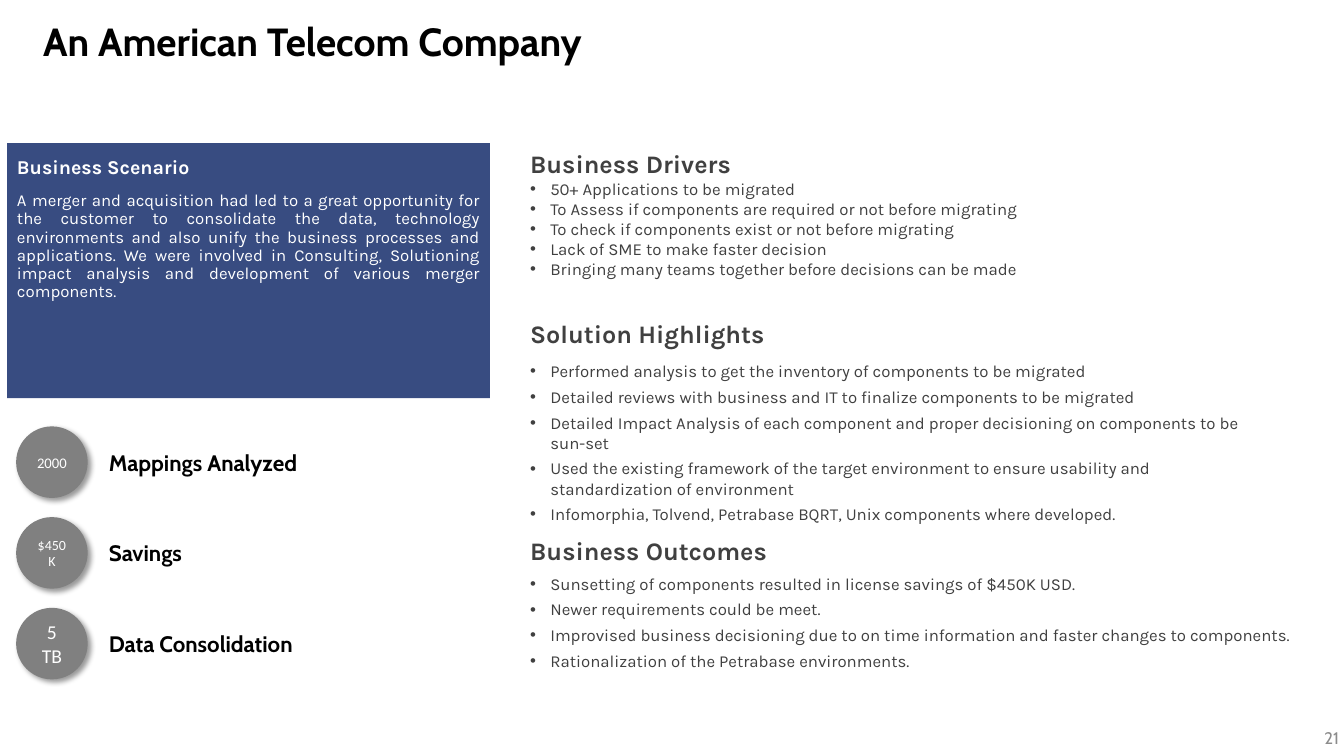
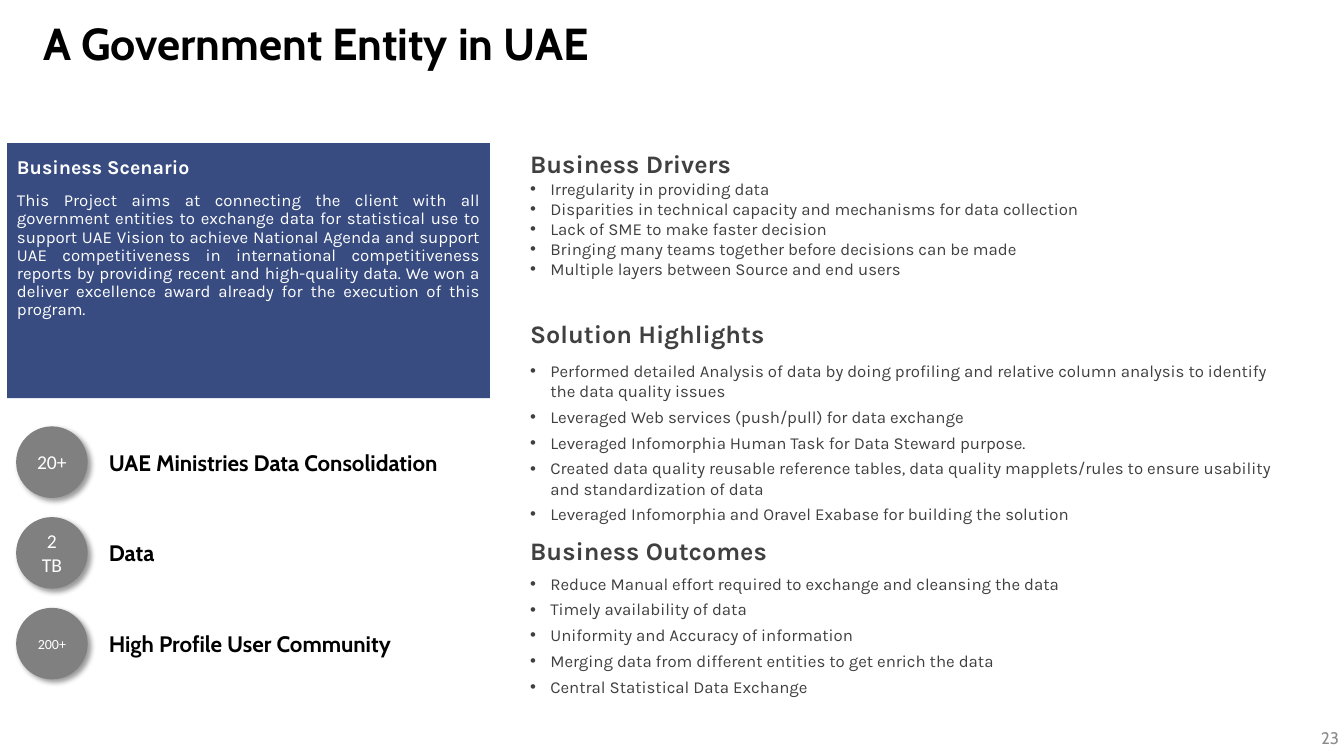
"""Builds two client case-study slides that share one layout."""
from dataclasses import dataclass

from lxml import etree
from pptx import Presentation
from pptx import util as u
from pptx.dml.color import RGBColor
from pptx.enum import shapes, text
from pptx.oxml import ns

EMU_PER_PX = 9144

COLORS = {
    "black": "000000",
    "white": "FFFFFF",
    "navy": "384C81",
    "badge": "808080",
    "body": "404040",
    "number": "8C8C8C",
}


@dataclass(frozen=True)
class Frame:
    left: int
    top: int
    width: int
    height: int


@dataclass(frozen=True)
class Style:
    font: str
    size: float
    color: str
    bold: bool = False
    align: text.PP_ALIGN = text.PP_ALIGN.LEFT
    line_spacing: float = 1.0
    before: int = 0
    after: int = 0
    bullet: bool = False


@dataclass(frozen=True)
class Line:
    words: str
    style: Style


@dataclass(frozen=True)
class Metric:
    value: str
    size: float
    label: str


@dataclass(frozen=True)
class Case:
    title: str
    title_size: int
    title_frame: Frame
    number: str
    scenario: str
    metrics: list[Metric]
    drivers: list[str]
    highlights: list[str]
    outcomes: list[str]


JUSTIFY = text.PP_ALIGN.JUSTIFY
MIDDLE = text.MSO_ANCHOR.MIDDLE
TOP = text.MSO_ANCHOR.TOP

NUMBER = Style("Cabin", 12, "number", align=text.PP_ALIGN.RIGHT)
SCENARIO_HEADING = Style("Karla", 14, "white", True, JUSTIFY, 0.9)
SCENARIO_BODY = Style("Karla", 12, "white", False, JUSTIFY, 0.9, before=10)
HEADING = Style("Karla", 18, "body", True)
TIGHT_BULLET = Style("Karla", 12, "body", bullet=True)
LOOSE_BULLET = Style("Karla", 12, "body", after=4, bullet=True)
METRIC_LABEL = Style("Cabin", 16, "black", True)

PANEL = Frame(7, 142, 479, 253)
SCENARIO = Frame(7, 151, 479, 224)
DRIVERS = Frame(516, 142, 746, 164)
HIGHLIGHTS_HEADING = Frame(516, 311, 668, 40)
HIGHLIGHTS = Frame(516, 353, 759, 174)
OUTCOMES_HEADING = Frame(516, 526, 668, 40)
OUTCOMES = Frame(516, 564, 802, 134)
PAGE_NUMBER = Frame(1283, 718, 55, 28)
BADGE_LEFT, BADGE_TOP, BADGE_SIZE, BADGE_STEP = 16, 423, 71, 90
LABEL_LEFT, LABEL_WIDTH, LABEL_HEIGHT = 108, 404, 37
BULLET_INDENT = 20

CASES = [
    Case(
        title="An American Telecom Company",
        title_size=28,
        title_frame=Frame(33, 2, 1150, 82),
        number="21",
        scenario="A merger and acquisition had led to a great opportunity for the customer to "
        "consolidate the data, technology environments and also unify the business processes and "
        "applications. We were involved in Consulting, Solutioning impact analysis and "
        "development of various merger components.",
        metrics=[
            Metric("2000", 10.5, "Mappings Analyzed"),
            Metric("$450K", 10, "Savings"),
            Metric("5 TB", 14, "Data Consolidation"),
        ],
        drivers=[
            "50+ Applications to be migrated",
            "To Assess if components are required or not before migrating",
            "To check if components exist or not before migrating",
            "Lack of SME to make faster decision",
            "Bringing many teams together before decisions can be made",
        ],
        highlights=[
            "Performed analysis to get the inventory of components to be migrated",
            "Detailed reviews with business and IT to finalize components to be migrated",
            "Detailed Impact Analysis of each component and proper decisioning on components "
            "to be sun-set",
            "Used the existing framework of the target environment to ensure usability and "
            "standardization of environment",
            "Infomorphia, Tolvend, Petrabase BQRT, Unix components where developed.",
        ],
        outcomes=[
            "Sunsetting of components resulted in license savings of $450K USD.",
            "Newer requirements could be meet.",
            "Improvised business decisioning due to on time information and faster changes "
            "to components.",
            "Rationalization of the Petrabase environments.",
        ],
    ),
    Case(
        title="A Government Entity in UAE",
        title_size=32,
        title_frame=Frame(33, 7, 1150, 78),
        number="23",
        scenario="This Project aims at connecting the client with all government entities to "
        "exchange data for statistical use to support UAE Vision to achieve National Agenda and "
        "support UAE competitiveness in international competitiveness reports by providing recent "
        "and high-quality data. We won a deliver excellence award already for the execution of "
        "this program.",
        metrics=[
            Metric("20+", 14, "UAE Ministries Data Consolidation"),
            Metric("2 TB", 14, "Data"),
            Metric("200+", 10, "High Profile User Community"),
        ],
        drivers=[
            "Irregularity in providing data",
            "Disparities in technical capacity and mechanisms for data collection",
            "Lack of SME to make faster decision",
            "Bringing many teams together before decisions can be made",
            "Multiple layers between Source and end users",
        ],
        highlights=[
            "Performed detailed Analysis of data by doing profiling and relative column analysis "
            "to identify the data quality issues",
            "Leveraged Web services (push/pull) for data exchange",
            "Leveraged Infomorphia Human Task for Data Steward purpose.",
            "Created data quality reusable reference tables, data quality mapplets/rules to "
            "ensure usability and standardization of data",
            "Leveraged Infomorphia and Oravel Exabase for building the solution",
        ],
        outcomes=[
            "Reduce Manual effort required to exchange and cleansing the data",
            "Timely availability of data",
            "Uniformity and Accuracy of information",
            "Merging data from different entities to get enrich the data",
            "Central Statistical Data Exchange",
        ],
    ),
]


def px(length: int) -> u.Emu:
    return u.Emu(length * EMU_PER_PX)


def place(frame: Frame) -> tuple[u.Emu, ...]:
    return px(frame.left), px(frame.top), px(frame.width), px(frame.height)


def lines(words: list[str], style: Style) -> list[Line]:
    return [Line(item, style) for item in words]


def add_bullet(para) -> None:
    properties = para._p.get_or_add_pPr()
    properties.set("marL", str(px(BULLET_INDENT)))
    properties.set("indent", str(px(-BULLET_INDENT)))
    etree.SubElement(properties, ns.qn("a:buFont"), typeface="Arial")
    etree.SubElement(properties, ns.qn("a:buChar"), char="•")


def write(shape, content: list[Line], anchor: text.MSO_ANCHOR = TOP) -> None:
    frame = shape.text_frame
    frame.word_wrap = True
    frame.vertical_anchor = anchor
    frame.text = "\n".join(line.words for line in content)
    for para, line in zip(frame.paragraphs, content):
        style = line.style
        if style.bullet:
            add_bullet(para)
        para.alignment = style.align
        para.line_spacing = style.line_spacing
        para.space_before = u.Pt(style.before)
        para.space_after = u.Pt(style.after)
        for span in para.runs:
            span.font.name = style.font
            span.font.size = u.Pt(style.size)
            span.font.bold = style.bold
            span.font.color.rgb = RGBColor.from_string(COLORS[style.color])


def add_text(page, frame: Frame, content: list[Line], anchor: text.MSO_ANCHOR = TOP):
    box = page.shapes.add_textbox(*place(frame))
    write(box, content, anchor)
    return box


def add_filled(page, kind: shapes.MSO_SHAPE, frame: Frame, color: str):
    shape = page.shapes.add_shape(kind, *place(frame))
    shape.shadow.inherit = False
    shape.fill.solid()
    shape.fill.fore_color.rgb = RGBColor.from_string(COLORS[color])
    shape.line.fill.background()
    return shape


def add_drop_shadow(shape) -> None:
    effects = shape.element.spPr.find(ns.qn("a:effectLst"))
    shadow = etree.SubElement(
        effects, ns.qn("a:outerShdw"), blurRad=str(u.Pt(4)), dist=str(u.Pt(3)),
        dir="2700000", algn="tl", rotWithShape="0",
    )
    color = etree.SubElement(shadow, ns.qn("a:srgbClr"), val=COLORS["black"])
    etree.SubElement(color, ns.qn("a:alpha"), val="40000")


def add_metric(page, metric: Metric, top: int) -> None:
    frame = Frame(BADGE_LEFT, top, BADGE_SIZE, BADGE_SIZE)
    badge = add_filled(page, shapes.MSO_SHAPE.ROUNDED_RECTANGLE, frame, "badge")
    badge.adjustments[0] = 0.5
    add_drop_shadow(badge)
    style = Style("Calibri", metric.size, "white", align=text.PP_ALIGN.CENTER)
    write(badge, [Line(metric.value, style)], MIDDLE)
    label_top = top + (BADGE_SIZE - LABEL_HEIGHT) // 2
    label_frame = Frame(LABEL_LEFT, label_top, LABEL_WIDTH, LABEL_HEIGHT)
    label = add_text(page, label_frame, [Line(metric.label, METRIC_LABEL)], MIDDLE)
    label.text_frame.margin_left = label.text_frame.margin_right = 0


def add_case(deck, case: Case) -> None:
    page = deck.slides.add_slide(deck.slide_layouts[6])
    title_style = Style("Cabin", case.title_size, "black", True, line_spacing=0.9)
    add_text(page, PAGE_NUMBER, [Line(case.number, NUMBER)], MIDDLE)
    add_text(page, case.title_frame, [Line(case.title, title_style)], MIDDLE)
    add_filled(page, shapes.MSO_SHAPE.RECTANGLE, PANEL, "navy")
    scenario = [Line("Business Scenario", SCENARIO_HEADING), Line(case.scenario, SCENARIO_BODY)]
    add_text(page, SCENARIO, scenario)
    drivers = [Line("Business Drivers", HEADING), *lines(case.drivers, TIGHT_BULLET)]
    add_text(page, DRIVERS, drivers)
    add_text(page, HIGHLIGHTS_HEADING, [Line("Solution Highlights", HEADING)])
    add_text(page, HIGHLIGHTS, lines(case.highlights, LOOSE_BULLET))
    add_text(page, OUTCOMES_HEADING, [Line("Business Outcomes", HEADING)])
    add_text(page, OUTCOMES, lines(case.outcomes, LOOSE_BULLET))
    for row, metric in enumerate(case.metrics):
        add_metric(page, metric, BADGE_TOP + row * BADGE_STEP)


def main() -> None:
    deck = Presentation()
    deck.slide_width, deck.slide_height = px(1333), px(750)
    for case in CASES:
        add_case(deck, case)
    deck.save("out.pptx")


if __name__ == "__main__":
    main()
